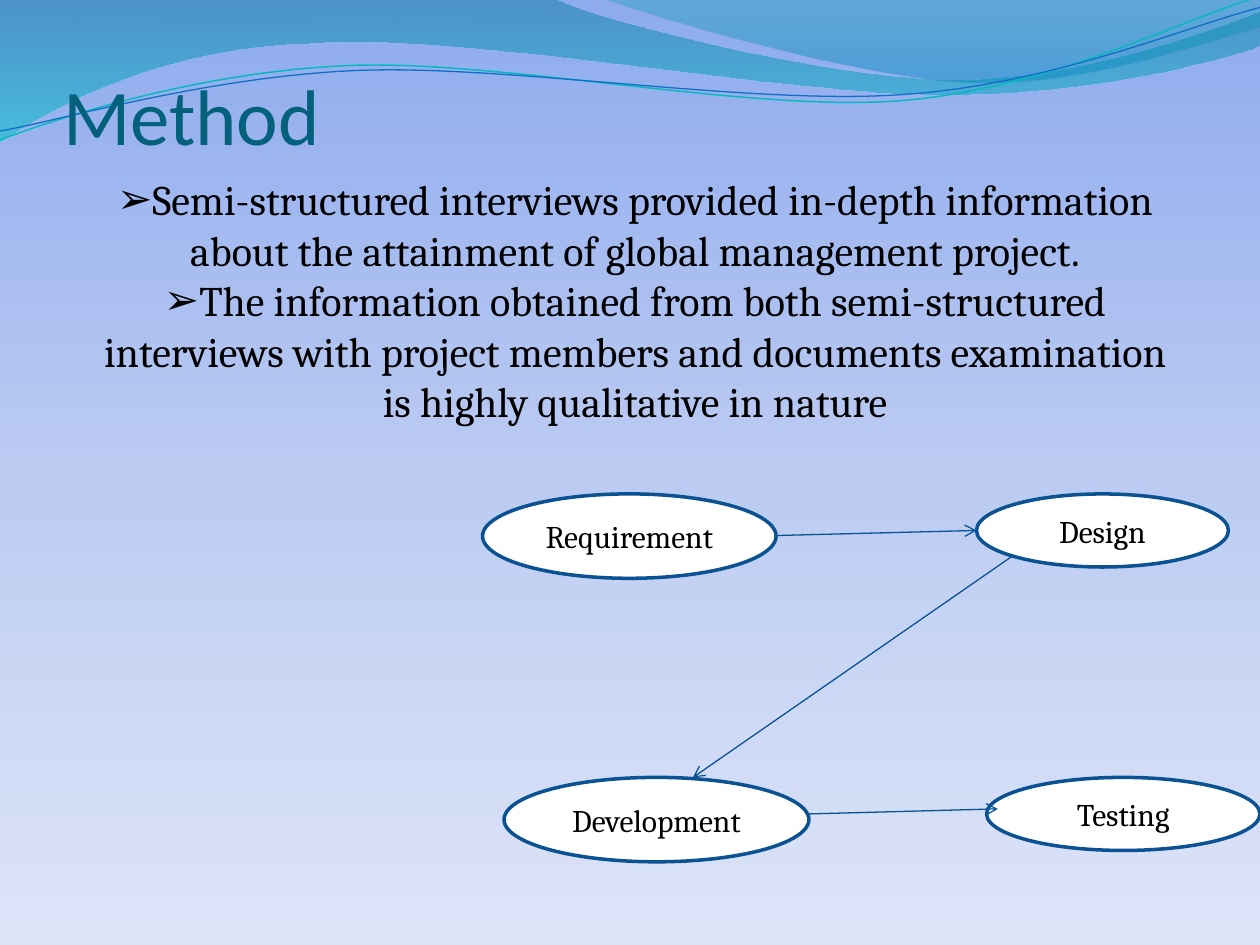
"""Build the Method slide: two findings and a four-step project flow."""
from math import cos, radians, sin
from typing import NamedTuple

from lxml.etree import SubElement
from pptx import Presentation
from pptx.dml.color import RGBColor
from pptx.enum.shapes import MSO_CONNECTOR, MSO_SHAPE
from pptx.enum.text import MSO_ANCHOR, MSO_AUTO_SIZE, PP_ALIGN
from pptx.oxml.ns import qn
from pptx.util import Inches, Pt

WHITE = RGBColor(0xFF, 0xFF, 0xFF)
BLACK = RGBColor(0x00, 0x00, 0x00)
TITLE_TEAL = RGBColor(0x04, 0x61, 0x7B)
STEP_EDGE = RGBColor(0x0B, 0x52, 0x92)
ARROW_BLUE = RGBColor(0x09, 0x52, 0x95)
RIBBON_TEAL = RGBColor(0x0A, 0xB8, 0xBF)
RIBBON_BLUE = RGBColor(0x0F, 0x6F, 0xC6)
RIBBON_TILT = 2.7


class Stop(NamedTuple):
    position: int
    color: RGBColor
    opacity: int = 100


class Wave(NamedTuple):
    start: tuple
    segments: list
    stops: list


class Ribbon(NamedTuple):
    start: tuple
    segments: list
    center: tuple
    color: RGBColor
    width: float


class Step(NamedTuple):
    label: str
    left: float
    top: float
    width: float
    height: float


class Arrow(NamedTuple):
    start: tuple
    end: tuple


SKY = [
    Stop(0, RGBColor(0x8E, 0xAB, 0xEE)),
    Stop(50, RGBColor(0xBB, 0xCB, 0xF2)),
    Stop(100, RGBColor(0xDE, 0xE5, 0xF8)),
]
WAVES = [
    Wave((0, 0), [
        (4.4, -0.01), (4.76, 0.17, 6.64, 0.63, 7.58, 0.63),
        (8.53, 0.63, 9.58, 0.26, 10, 0.09), (10.01, 0.36),
        (9.83, 0.44, 8.7, 0.76, 7.46, 0.75), (6.22, 0.75, 3.82, 0.28, 2.57, 0.34),
        (1.29, 0.36, 0.46, 0.83, -0.01, 1.13),
    ], [Stop(0, RGBColor(0x00, 0x74, 0xA1), 45), Stop(100, RGBColor(0x00, 0xC6, 0xCF), 55)]),
    Wave((4.79, -0.01), [
        (5.09, 0.11, 6.82, 0.62, 7.69, 0.65), (8.56, 0.69, 9.61, 0.32, 10, 0.21), (10, 0),
    ], [Stop(0, RGBColor(0x00, 0xA1, 0xA9), 30), Stop(80, RGBColor(0x00, 0x8B, 0xBF), 45)]),
]
RIBBONS = [
    Ribbon((0, 1.11), [
        (0.48, 0.93, 1.58, 0.57, 2.77, 0.52), (3.95, 0.47, 5.93, 0.89, 7.13, 0.8),
        (8.33, 0.71, 9.38, 0.15, 9.98, -0.02),
    ], (4.99, 0.57), RIBBON_TEAL, 0.85),
    Ribbon((0, 1.04), [
        (0.47, 0.96, 1.64, 0.61, 2.83, 0.56), (4.03, 0.51, 5.97, 0.84, 7.17, 0.75),
        (8.36, 0.67, 9.41, 0.21, 10, 0.06),
    ], (5, 0.59), RIBBON_BLUE, 0.75),
]
STEPS = [
    Step("Requirement", 3.83, 3.92, 2.33, 0.67),
    Step("Design", 7.75, 3.92, 2, 0.58),
    Step("Development", 4, 6.17, 2.42, 0.67),
    Step("Testing", 7.83, 6.17, 2.17, 0.58),
]
ARROWS = [
    Arrow((6.17, 4.25), (7.75, 4.21)),
    Arrow((8.04, 4.41), (5.5, 6.17)),
    Arrow((6.42, 6.46), (7.92, 6.42)),
]
FINDINGS = [
    "Semi-structured interviews provided in-depth information about the attainment "
    "of global management project.",
    "The information obtained from both semi-structured interviews with project members "
    "and documents examination is highly qualitative in nature",
]


def paint_gradient(fill, owner, stops: list[Stop]) -> None:
    fill.gradient()
    fill.gradient_angle = 270
    stop_list = owner.find(".//" + qn("a:gsLst"))
    for default_stop in list(stop_list):
        stop_list.remove(default_stop)
    for stop in stops:
        entry = SubElement(stop_list, qn("a:gs"), pos=str(stop.position * 1000))
        color = SubElement(entry, qn("a:srgbClr"), val=str(stop.color))
        if stop.opacity < 100:
            SubElement(color, qn("a:alpha"), val=str(stop.opacity * 1000))


def turn(point: tuple, center: tuple, degrees: float) -> tuple:
    angle = radians(degrees)
    across, down = point[0] - center[0], point[1] - center[1]
    return (center[0] + across * cos(angle) - down * sin(angle),
            center[1] + across * sin(angle) + down * cos(angle))


def add_outline(slide, start: tuple, segments: list, close: bool,
                center: tuple = (0, 0), tilt: float = 0):
    points = [start] + [segment[i:i + 2] for segment in segments
                        for i in range(0, len(segment), 2)]
    turned = [turn(point, center, tilt) for point in points]
    first, *others = [(Inches(x), Inches(y)) for x, y in turned]
    builder = slide.shapes.build_freeform(*first)
    builder.add_line_segments(others, close=close)
    outline = builder.convert_to_shape()
    outline.shadow.inherit = False
    outline.rotation = -tilt
    corners = iter(list(outline.element.iter(qn("a:lnTo"))))
    for segment in segments:
        corner = next(corners)
        if len(segment) == 6:
            curve = corner.makeelement(qn("a:cubicBezTo"))
            corner.addprevious(curve)
            for handle in (corner, next(corners), next(corners)):
                curve.append(handle[0])
                handle.getparent().remove(handle)
    return outline


def add_wave(slide, wave: Wave) -> None:
    outline = add_outline(slide, wave.start, wave.segments, True)
    paint_gradient(outline.fill, outline.element, wave.stops)
    outline.line.fill.background()


def add_ribbon(slide, ribbon: Ribbon) -> None:
    outline = add_outline(
        slide, ribbon.start, ribbon.segments, False, ribbon.center, RIBBON_TILT)
    outline.fill.background()
    outline.line.color.rgb = ribbon.color
    outline.line.width = Pt(ribbon.width)


def write(paragraph, text: str, font: str, size: float, color: RGBColor, align) -> None:
    paragraph.alignment = align
    run = paragraph.add_run()
    run.text = text
    run.font.name = font
    run.font.size = Pt(size)
    run.font.color.rgb = color


def add_step(slide, step: Step) -> None:
    oval = slide.shapes.add_shape(MSO_SHAPE.OVAL, *(Inches(value) for value in step[1:]))
    oval.shadow.inherit = False
    oval.fill.solid()
    oval.fill.fore_color.rgb = WHITE
    oval.line.color.rgb = STEP_EDGE
    oval.line.width = Pt(2)
    oval.text_frame.vertical_anchor = MSO_ANCHOR.MIDDLE
    write(oval.text_frame.paragraphs[0], step.label, "Cambria", 18, BLACK, PP_ALIGN.CENTER)


def add_arrow(slide, arrow: Arrow) -> None:
    link = slide.shapes.add_connector(
        MSO_CONNECTOR.STRAIGHT, *(Inches(value) for value in arrow.start + arrow.end))
    link.line.color.rgb = ARROW_BLUE
    link.line.width = Pt(0.75)
    SubElement(link.element.spPr.find(qn("a:ln")), qn("a:tailEnd"), type="arrow")
    SubElement(link.element.spPr, qn("a:effectLst"))


def place(slide, holder, left: float, top: float, width: float, height: float, anchor):
    holder.left, holder.top = Inches(left), Inches(top)
    holder.width, holder.height = Inches(width), Inches(height)
    slide.shapes.element.append(holder.element)
    frame = holder.text_frame
    frame.word_wrap = True
    frame.auto_size = MSO_AUTO_SIZE.NONE
    frame.vertical_anchor = anchor
    return frame


def add_title(slide) -> None:
    frame = place(slide, slide.shapes.title, 0.5, 0.77, 9.08, 1.25, MSO_ANCHOR.BOTTOM)
    frame.margin_left = frame.margin_right = frame.margin_top = 0
    frame.margin_bottom = Inches(0.74)
    write(frame.paragraphs[0], "Method", "Calibri", 45, TITLE_TEAL, PP_ALIGN.LEFT)


def add_findings(slide) -> None:
    frame = place(slide, slide.placeholders[1], 0.58, 1.42, 8.92, 1.92, MSO_ANCHOR.MIDDLE)
    for index, finding in enumerate(FINDINGS):
        paragraph = frame.add_paragraph() if index else frame.paragraphs[0]
        paragraph.space_before = Pt(0)
        properties = paragraph._p.get_or_add_pPr()
        properties.set("marL", "0")
        properties.set("indent", "0")
        SubElement(properties, qn("a:buChar"), char="➢")
        write(paragraph, finding, "Cambria", 24, BLACK, PP_ALIGN.CENTER)


def main() -> None:
    deck = Presentation()
    deck.slide_width, deck.slide_height = Inches(10), Inches(7.5)
    slide = deck.slides.add_slide(deck.slide_layouts[1])
    paint_gradient(slide.background.fill, slide.element, SKY)
    for wave in WAVES:
        add_wave(slide, wave)
    for ribbon in RIBBONS:
        add_ribbon(slide, ribbon)
    add_title(slide)
    for step in STEPS:
        add_step(slide, step)
    for arrow in ARROWS:
        add_arrow(slide, arrow)
    add_findings(slide)
    deck.save("out.pptx")


if __name__ == "__main__":
    main()
